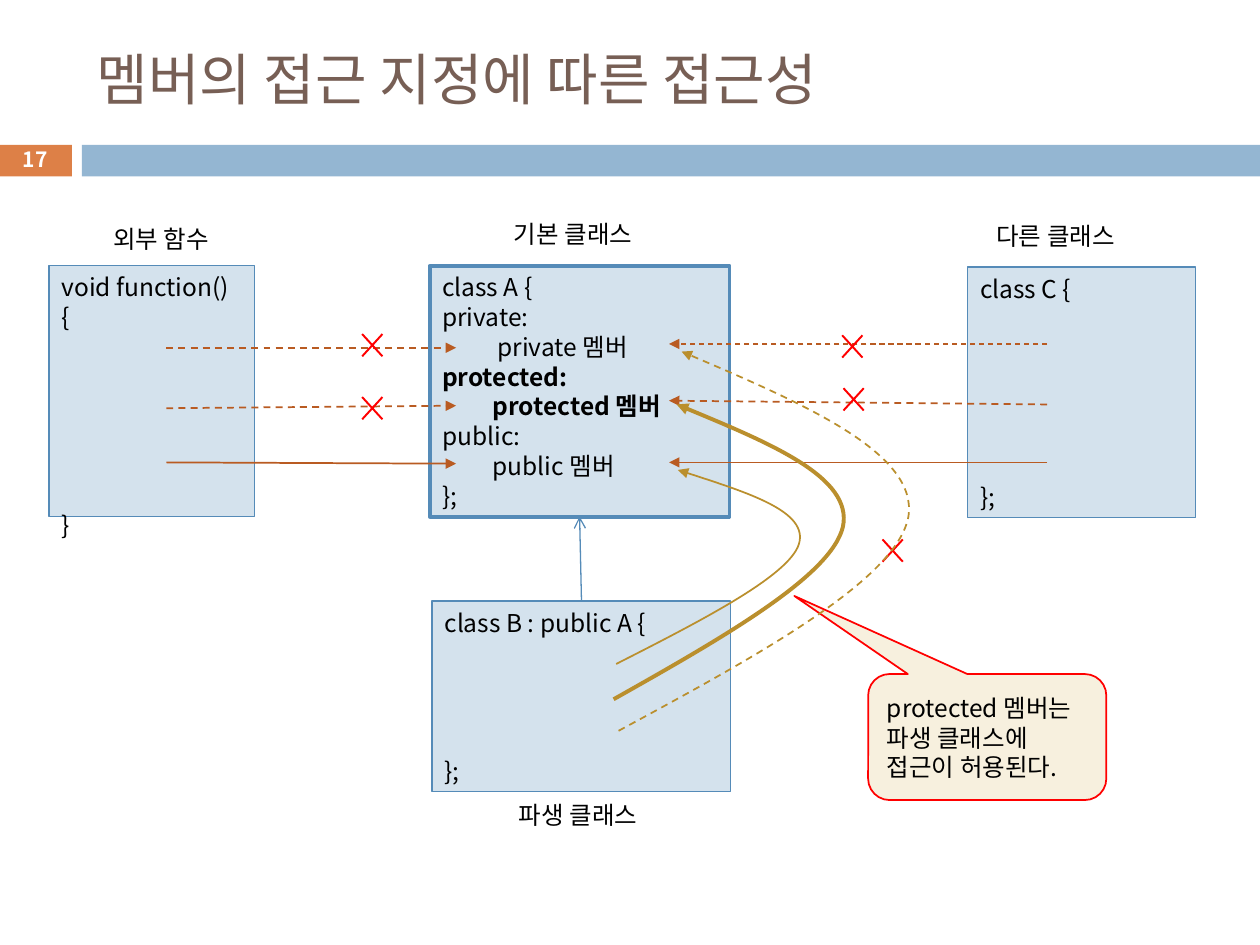
from lxml.etree import SubElement
from pptx import Presentation
from pptx.dml.color import RGBColor
from pptx.enum.dml import MSO_LINE
from pptx.enum.shapes import MSO_CONNECTOR, MSO_SHAPE
from pptx.enum.text import MSO_ANCHOR, PP_ALIGN
from pptx.oxml.ns import qn
from pptx.util import Inches, Pt

FONT = "Noto Sans CJK KR"
BLACK = RGBColor(0x00, 0x00, 0x00)
WHITE = RGBColor(0xFF, 0xFF, 0xFF)
BROWN = RGBColor(0x77, 0x5F, 0x55)
ORANGE = RGBColor(0xDD, 0x80, 0x47)
BAND_BLUE = RGBColor(0x94, 0xB6, 0xD2)
PALE_BLUE = RGBColor(0xD4, 0xE2, 0xED)
EDGE_BLUE = RGBColor(0x55, 0x8B, 0xB8)
RUST = RGBColor(0xB9, 0x5B, 0x22)
GOLD = RGBColor(0xBA, 0x8F, 0x2D)
CREAM = RGBColor(0xF7, 0xF0, 0xDE)
RED = RGBColor(0xFF, 0x00, 0x00)
LINE_PITCH = 17  # points per line of code

# Code boxes: place, border width, right margin,
# lines as (text, indent in inches, bold, empty lines above)
CODE_BOXES = {
    "A": ((3.41, 2.11, 2.38, 1.99), 2.25, 0.1, [
        ("class A {", 0, False, 0),
        ("private:", 0, False, 0),
        ("private 멤버", 0.44, False, 0),
        ("protected:", 0, True, 0),
        ("protected 멤버", 0.4, True, 0),
        ("public:", 0, False, 0),
        ("public 멤버", 0.4, False, 0),
        ("};", 0, False, 0)]),
    "B": ((3.43, 4.77, 2.37, 1.51), 0.75, 0.1, [
        ("class B : public A {", 0, False, 0), ("};", 0, False, 4)]),
    "C": ((7.68, 2.12, 1.81, 1.99), 0.75, 0.1, [
        ("class C {", 0, False, 0), ("};", 0, False, 6)]),
    "function": ((0.39, 2.11, 1.63, 1.99), 0.75, 0.2, [
        ("void function() {", 0, False, 0), ("}", 0, False, 6)]),
}
LABELS = [("외부 함수", (0.8, 1.73, 1.06, 0.34)),
          ("기본 클래스", (3.98, 1.69, 1.25, 0.34)),
          ("다른 클래스", (7.81, 1.7, 1.25, 0.34)),
          ("파생 클래스", (4.02, 6.3, 1.25, 0.34))]
# Straight access arrows: start x, start y, end x, end y, width, dashed
ARROWS = [(8.31, 2.73, 5.31, 2.73, 0.75, True),
          (8.31, 3.21, 5.31, 3.18, 1, True),
          (8.31, 3.67, 5.31, 3.67, 0.75, False),
          (1.32, 2.76, 3.62, 2.76, 1, True),
          (1.32, 3.24, 3.62, 3.22, 1, True),
          (1.32, 3.67, 3.62, 3.68, 1, False)]
# Curved access arrows: start, then (control, control, end) twice; width, dashed
PROTECTED_CURVE = ([(4.87, 5.55), (5.74, 5.06), (6.6, 4.57), (6.69, 4.18),
                    (6.77, 3.79), (6.07, 3.5), (5.37, 3.21)], 2.25, False)
OTHER_CURVES = [
    ([(4.89, 5.27), (5.58, 4.92), (6.26, 4.57), (6.34, 4.32),
      (6.42, 4.06), (5.9, 3.9), (5.38, 3.73)], 1, False),
    ([(4.91, 5.8), (6.02, 5.2), (7.12, 4.6), (7.21, 4.1),
      (7.29, 3.6), (6.35, 3.19), (5.41, 2.79)], 1, True)]
CROSSES = [(2.8, 2.57), (6.61, 2.58), (6.62, 3), (2.8, 3.07), (6.93, 4.2)]

deck = Presentation()
deck.slide_width, deck.slide_height = Inches(10), Inches(7.5)
page = deck.slides.add_slide(deck.slide_layouts[6])


def set_font(para, size, color, bold=False):
    font = para.font
    font.name, font.size, font.bold = FONT, Pt(size), bold
    font.color.rgb = color
    for span in para.runs:
        SubElement(span._r.get_or_add_rPr(), qn("a:ea"), typeface=FONT)


def add_block(kind, place, fill, edge=None, width=1):
    shape = page.shapes.add_shape(kind, *map(Inches, place))
    shape.shadow.inherit = False
    shape.fill.solid()
    shape.fill.fore_color.rgb = fill
    if edge is None:
        shape.line.fill.background()
    else:
        shape.line.color.rgb = edge
        shape.line.width = Pt(width)
    return shape


def add_text(text, place, size, color, bold=False, wrap=True,
             anchor=MSO_ANCHOR.MIDDLE, align=PP_ALIGN.LEFT):
    box = page.shapes.add_textbox(*map(Inches, place))
    frame = box.text_frame
    frame.word_wrap, frame.vertical_anchor = wrap, anchor
    para = frame.paragraphs[0]
    para.text, para.alignment = text, align
    set_font(para, size, color, bold)
    return para


def add_code_box(place, border, right_margin, lines):
    box = add_block(MSO_SHAPE.RECTANGLE, place, PALE_BLUE, EDGE_BLUE, border)
    frame = box.text_frame
    frame.word_wrap, frame.vertical_anchor = True, MSO_ANCHOR.TOP
    frame.margin_right = Inches(right_margin)
    for number, (text, indent, bold, gap) in enumerate(lines):
        para = frame.add_paragraph() if number else frame.paragraphs[0]
        para.text, para.alignment = text, PP_ALIGN.LEFT
        para.line_spacing = Pt(LINE_PITCH)
        if gap:
            para.space_before = Pt(gap * LINE_PITCH)
        if indent:
            para._p.get_or_add_pPr().set("marL", str(Inches(indent)))
        set_font(para, 14, BLACK, bold)
    return box


def style_arrow(shape, color, width, dashed=False, head="triangle"):
    line = shape.line
    line.color.rgb, line.width = color, Pt(width)
    if dashed:
        line.dash_style = MSO_LINE.DASH
    SubElement(line._get_or_add_ln(), qn("a:tailEnd"), type=head)


def add_arrow(x1, y1, x2, y2):
    arrow = page.shapes.add_connector(
        MSO_CONNECTOR.STRAIGHT, *map(Inches, (x1, y1, x2, y2)))
    SubElement(arrow._element.spPr, qn("a:effectLst"))
    return arrow


def add_curve(points, width, dashed):
    points = [(Inches(x), Inches(y)) for x, y in points]
    builder = page.shapes.build_freeform(*points[0])
    builder.add_line_segments(points[3::3], close=False)
    curve = builder.convert_to_shape()
    curve.shadow.inherit = False
    curve.fill.background()
    # Turn each straight segment into a cubic one
    for number, segment in enumerate(list(curve._element.iter(qn("a:lnTo")))):
        segment.tag = qn("a:cubicBezTo")
        controls = points[3 * number + 1:3 * number + 3]
        for position, (x, y) in enumerate(controls):
            point = SubElement(segment, qn("a:pt"),
                               x=str(x - curve.left), y=str(y - curve.top))
            segment.insert(position, point)
    style_arrow(curve, GOLD, width, dashed)


# Header band, title and page number
add_block(MSO_SHAPE.RECTANGLE, (-0.01, 1.15, 0.58, 0.25), ORANGE)
add_block(MSO_SHAPE.RECTANGLE, (0.65, 1.15, 9.35, 0.25), BAND_BLUE)
add_text("멤버의 접근 지정에 따른 접근성", (0.67, 0.25, 8.92, 0.74), 32, BROWN)
add_text("17", (-0.01, 1.13, 0.58, 0.27), 12, WHITE, bold=True,
         align=PP_ALIGN.CENTER)

# Code boxes and the inheritance arrow
boxes = {name: add_code_box(*spec_row) for name, spec_row in CODE_BOXES.items()}
inheritance = add_arrow(4.61, 4.77, 4.6, 4.1)
inheritance.begin_connect(boxes["B"], 0)
inheritance.end_connect(boxes["A"], 2)
style_arrow(inheritance, EDGE_BLUE, 0.75, head="arrow")

# Access arrows with crosses on the forbidden ones
for *ends, width, dashed in ARROWS:
    style_arrow(add_arrow(*ends), RUST, width, dashed)
for left, top in CROSSES:
    cross = add_block(MSO_SHAPE.MATH_MULTIPLY, (left, top, 0.31, 0.34), RED)
    cross.adjustments[0] = 0.05

# Labels
for text, place in LABELS:
    para = add_text(text, place, 14, BLACK, wrap=False, anchor=MSO_ANCHOR.TOP)
    para.line_spacing = Pt(LINE_PITCH)

# Access from the derived class, with the callout
add_curve(*PROTECTED_CURVE)
callout = add_block(MSO_SHAPE.ROUNDED_RECTANGULAR_CALLOUT,
                    (6.89, 5.35, 1.89, 1), CREAM, RED)
for number, value in enumerate((-0.81, -1.12, 0.17)):
    callout.adjustments[number] = value
callout.text_frame.word_wrap = True
callout.text_frame.vertical_anchor = MSO_ANCHOR.MIDDLE
para = callout.text_frame.paragraphs[0]
para.text, para.alignment = "protected 멤버는 파생 클래스에 접근이 허용된다.", PP_ALIGN.LEFT
para.line_spacing = Pt(LINE_PITCH)
set_font(para, 14, BLACK)
for curve in OTHER_CURVES:
    add_curve(*curve)

deck.save("out.pptx")
